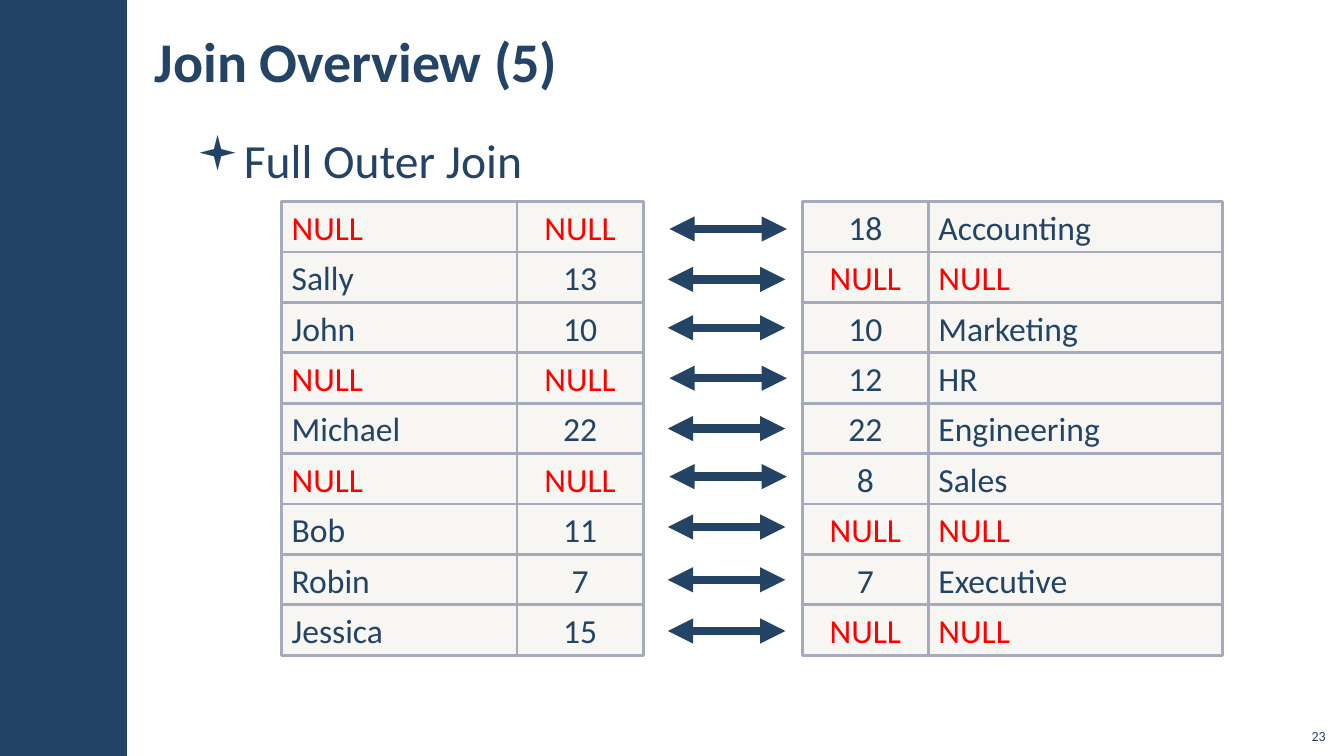
import dataclasses

import lxml.etree
import pptx
import pptx.dml.color
import pptx.enum.shapes
import pptx.enum.text
import pptx.oxml.ns
import pptx.util

Cm = pptx.util.Cm
Pt = pptx.util.Pt
RGB = pptx.dml.color.RGBColor
Align = pptx.enum.text.PP_ALIGN
Anchor = pptx.enum.text.MSO_ANCHOR
qn = pptx.oxml.ns.qn


@dataclasses.dataclass(frozen=True)
class Theme:
    font: str = "Calibri"
    bullet_font: str = "Wingdings"
    navy: str = "234465"
    null_red: str = "FF0000"
    cell_fill: str = "D9D5C7"
    cell_opacity: int = 20
    border: str = "A3ABBC"
    title_size: int = 40
    bullet_size: int = 34
    cell_size: int = 24
    number_size: int = 10
    border_width: int = 2
    arrow_width: int = 6


theme = Theme()


def write(frame, text, size, color=theme.navy, align=Align.LEFT, bold=False):
    frame.text = text
    para = frame.paragraphs[0]
    para.alignment = align
    font = para.runs[0].font
    font.name = theme.font
    font.size = Pt(size)
    font.bold = bold
    font.color.rgb = RGB.from_string(color)
    return para


def add_rectangle(left, top, width, height, color):
    shape = page.shapes.add_shape(
        pptx.enum.shapes.MSO_SHAPE.RECTANGLE, Cm(left), Cm(top), Cm(width), Cm(height))
    shape.shadow.inherit = False
    shape.fill.solid()
    shape.fill.fore_color.rgb = RGB.from_string(color)
    return shape


deck = pptx.Presentation()
deck.slide_width = Cm(33.87)
deck.slide_height = Cm(19.05)
page = deck.slides.add_slide(deck.slide_layouts[5])

# Side bar and title
bar = add_rectangle(0, 0, 3.2, 19.05, theme.navy)
bar.line.fill.background()

title = page.shapes.title
title.left, title.top, title.width, title.height = Cm(3.6), Cm(0.28), Cm(23.95), Cm(2.46)
frame = title.text_frame
frame.auto_size = pptx.enum.text.MSO_AUTO_SIZE.NONE
frame.vertical_anchor = Anchor.MIDDLE
frame.margin_left = frame.margin_right = Cm(0.3)
write(frame, "Join Overview (5)", theme.title_size, bold=True)

# Bullet
box = page.shapes.add_textbox(Cm(4.65), Cm(3.12), Cm(28.68), Cm(15.42))
frame = box.text_frame
frame.word_wrap = True
frame.margin_left = frame.margin_right = Cm(0.3)
frame.margin_top = frame.margin_bottom = Cm(0.1)
para = write(frame, "Full Outer Join", theme.bullet_size)
para.line_spacing = 1.05
para.space_after = Pt(6)
paragraph_properties = para._p.get_or_add_pPr()
paragraph_properties.set("marL", str(Cm(1)))
paragraph_properties.set("indent", str(-Cm(1)))
lxml.etree.SubElement(paragraph_properties, qn("a:buFont"), typeface=theme.bullet_font)
lxml.etree.SubElement(paragraph_properties, qn("a:buChar"), char="▪")

# Joined rows, built from cells so that their fill stays see-through
row_height = 1.27
rows_top = 5.08
columns = [
    (7.1, 5.93, Align.LEFT),
    (13.03, 3.18, Align.CENTER),
    (20.22, 3.18, Align.CENTER),
    (23.4, 7.41, Align.LEFT),
]
joined_rows = [
    ("NULL", "NULL", "18", "Accounting"),
    ("Sally", "13", "NULL", "NULL"),
    ("John", "10", "10", "Marketing"),
    ("NULL", "NULL", "12", "HR"),
    ("Michael", "22", "22", "Engineering"),
    ("NULL", "NULL", "8", "Sales"),
    ("Bob", "11", "NULL", "NULL"),
    ("Robin", "7", "7", "Executive"),
    ("Jessica", "15", "NULL", "NULL"),
]
for index, values in enumerate(joined_rows):
    top = rows_top + row_height * index
    for value, (left, width, align) in zip(values, columns):
        cell = add_rectangle(left, top, width, row_height, theme.cell_fill)
        tint = cell._element.spPr.find(qn("a:solidFill")).find(qn("a:srgbClr"))
        lxml.etree.SubElement(tint, qn("a:alpha"), val=str(theme.cell_opacity * 1000))
        cell.line.width = Pt(theme.border_width)
        cell.line.color.rgb = RGB.from_string(theme.border)
        cell.text_frame.word_wrap = True
        cell.text_frame.vertical_anchor = Anchor.MIDDLE
        color = theme.null_red if value == "NULL" else theme.navy
        write(cell.text_frame, value, theme.cell_size, color, align)

# One double arrow per joined row
arrow_heights = [5.77, 7.04, 8.26, 9.53, 10.8, 12.01, 13.28, 14.61, 15.9]
for values, height in zip(joined_rows, arrow_heights):
    left = 16.87 if values[0] == "NULL" else 16.83
    arrow = page.shapes.add_connector(
        pptx.enum.shapes.MSO_CONNECTOR.STRAIGHT,
        Cm(left), Cm(height), Cm(left + 2.96), Cm(height))
    arrow.line.width = Pt(theme.arrow_width)
    arrow.line.color.rgb = RGB.from_string(theme.navy)
    line = arrow.line._get_or_add_ln()
    for end in ("a:headEnd", "a:tailEnd"):
        lxml.etree.SubElement(line, qn(end), type="triangle")
    lxml.etree.SubElement(arrow._element.spPr, qn("a:effectLst"))

# Page number
box = page.shapes.add_textbox(Cm(32.64), Cm(18.08), Cm(1.02), Cm(0.81))
box.text_frame.word_wrap = True
box.text_frame.vertical_anchor = Anchor.BOTTOM
write(box.text_frame, "23", theme.number_size, align=Align.RIGHT)

deck.save("out.pptx")
